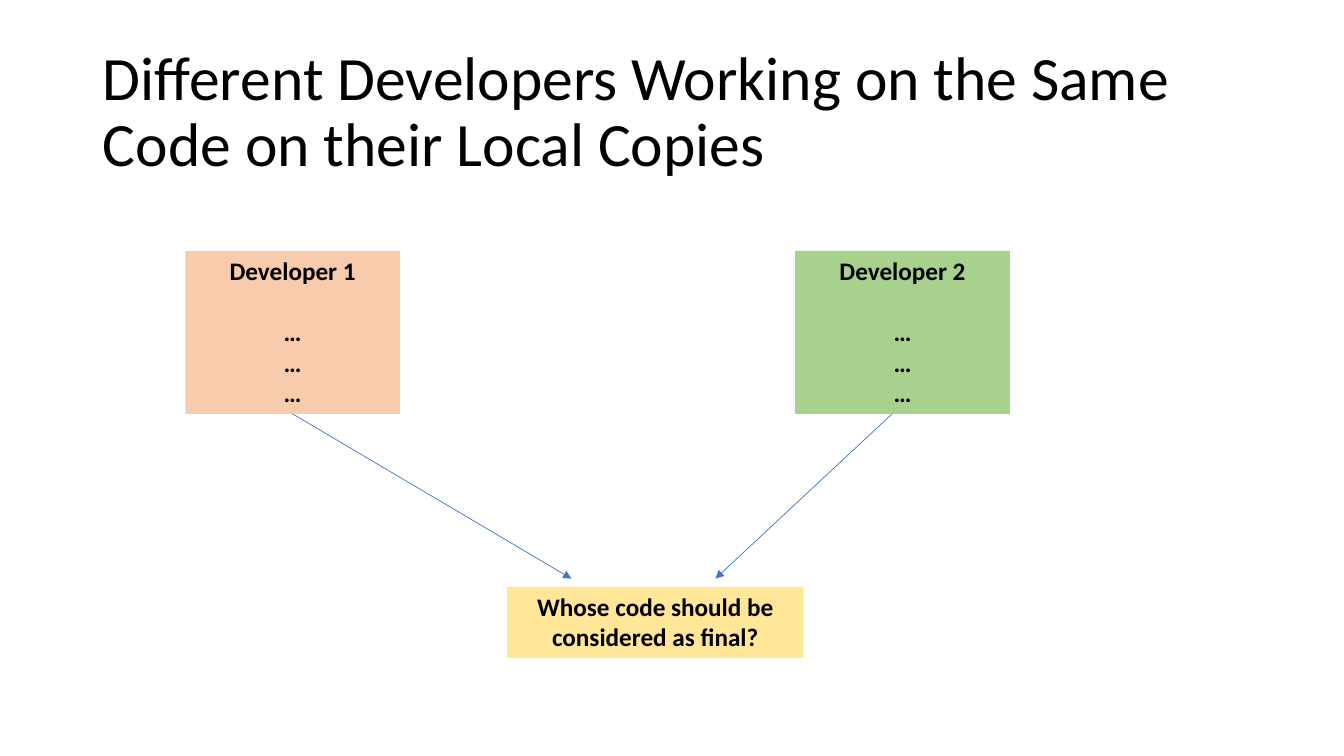
import pptx
import pptx.util
import pptx.dml.color
import pptx.enum.shapes
import pptx.enum.text
import pptx.oxml
import pptx.oxml.ns

Cm, Pt = pptx.util.Cm, pptx.util.Pt
RGBColor = pptx.dml.color.RGBColor
ALIGN = pptx.enum.text.PP_ALIGN
ANCHOR = pptx.enum.text.MSO_ANCHOR
FIT = pptx.enum.text.MSO_AUTO_SIZE

BLACK = RGBColor(0x00, 0x00, 0x00)
PEACH = RGBColor(0xF8, 0xCB, 0xAD)
GREEN = RGBColor(0xA9, 0xD1, 0x8E)
YELLOW = RGBColor(0xFF, 0xE6, 0x99)
BLUE = RGBColor(0x44, 0x72, 0xC4)


def add_text(para, text, size, bold, align):
    para.alignment = align
    run = para.add_run()
    run.text = text
    run.font.name = "Calibri"
    run.font.size = Pt(size)
    run.font.bold = bold
    run.font.color.rgb = BLACK


def add_box(left, top, width, height, fill, lines):
    box = slide.shapes.add_shape(
        pptx.enum.shapes.MSO_SHAPE.RECTANGLE, Cm(left), Cm(top), Cm(width), Cm(height))
    box.shadow.inherit = False
    box.fill.solid()
    box.fill.fore_color.rgb = fill
    box.line.fill.background()
    frame = box.text_frame
    frame.word_wrap = True
    frame.auto_size = FIT.SHAPE_TO_FIT_TEXT
    frame.vertical_anchor = ANCHOR.TOP
    for i, line in enumerate(lines):
        para = frame.add_paragraph() if i else frame.paragraphs[0]
        add_text(para, line, 18, True, ALIGN.CENTER)
        if i == 1:
            para.space_before = Pt(22)  # gap below the heading
    return box


deck = pptx.Presentation()
deck.slide_width, deck.slide_height = Cm(33.87), Cm(19.05)
slide = deck.slides.add_slide(deck.slide_layouts[5])

# Title
title = slide.shapes.title
title.left, title.top, title.width, title.height = Cm(2.34), Cm(1.02), Cm(29.21), Cm(3.68)
title.text_frame.word_wrap = True
title.text_frame.auto_size = FIT.NONE
title.text_frame.vertical_anchor = ANCHOR.MIDDLE
head = title.text_frame.paragraphs[0]
head.line_spacing = 0.9
add_text(head, "Different Developers Working on the Same Code on their Local Copies",
         44, False, ALIGN.LEFT)

# Developer boxes
boxes = []
for num, (left, fill) in enumerate([(4.67, PEACH), (20.04, GREEN)], 1):
    boxes.append(add_box(left, 6.32, 5.41, 4.11, fill, [f"Developer {num}"] + ["…"] * 3))

# Arrows to the question
arrows = []
for start, end in [(7.38, 14.4), (22.48, 18.03)]:
    arrow = slide.shapes.add_connector(
        pptx.enum.shapes.MSO_CONNECTOR.STRAIGHT, Cm(start), Cm(10.43), Cm(end), Cm(14.58))
    arrow.line.color.rgb = BLUE
    arrow.line.width = Pt(0.5)
    tip = pptx.oxml.parse_xml(
        f'<a:tailEnd {pptx.oxml.ns.nsdecls("a")} type="triangle"/>')
    arrow.line._get_or_add_ln().append(tip)
    arrow._element.spPr.append(
        pptx.oxml.parse_xml(f'<a:effectLst {pptx.oxml.ns.nsdecls("a")}/>'))
    arrows.append(arrow)
arrows[0].begin_connect(boxes[0], 2)

# Question box
add_box(12.78, 14.78, 7.47, 1.8, YELLOW, ["Whose code should be considered as final?"])

deck.save("out.pptx")
